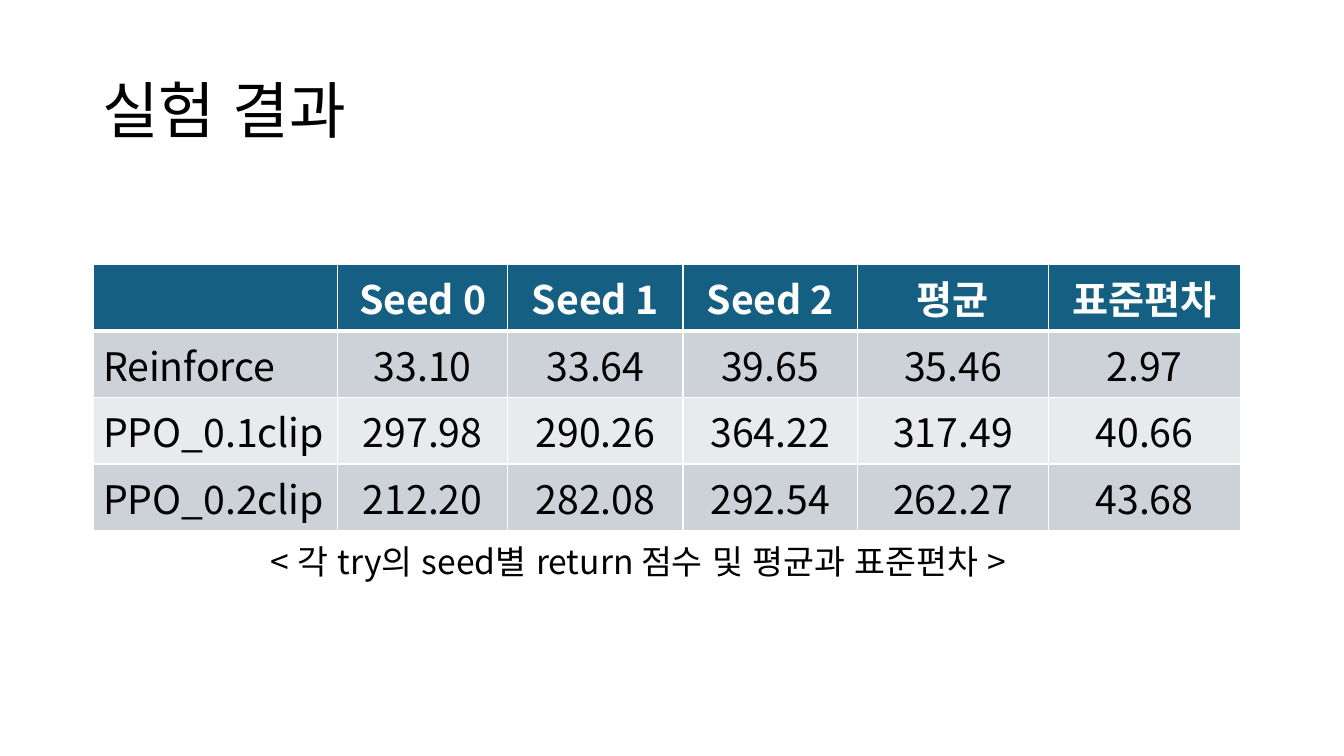
from dataclasses import dataclass

from lxml.etree import SubElement
from pptx import Presentation
from pptx.dml.color import RGBColor
from pptx.enum.lang import MSO_LANGUAGE_ID as Lang
from pptx.enum.text import MSO_ANCHOR as Anchor, PP_ALIGN as Align
from pptx.oxml.ns import qn
from pptx.slide import Slide
from pptx.table import _Cell as Cell
from pptx.text.text import _Paragraph as Paragraph
from pptx.util import Pt

FONT = "Noto Sans CJK KR"
COLORS = {
    "text": "000000",
    "white": "FFFFFF",
    "header": "156082",
    "odd_row": "CCD2D8",
    "even_row": "E8EAED",
}
HEADER = ["", "Seed 0", "Seed 1", "Seed 2", "평균", "표준편차"]
RESULTS = [
    ["Reinforce", "33.10", "33.64", "39.65", "35.46", "2.97"],
    ["PPO_0.1clip", "297.98", "290.26", "364.22", "317.49", "40.66"],
    ["PPO_0.2clip", "212.20", "282.08", "292.54", "262.27", "43.68"],
]
COLUMN_WIDTHS = [174.6, 121.8, 125.2, 124.4, 136.8, 136.8]
ROW_HEIGHT = 47.6
TABLE_LEFT, TABLE_TOP = 66.4, 188.6


@dataclass
class Label:
    text: str
    left: float
    top: float
    width: float
    height: float
    size: float
    anchor: Anchor


LABELS = [
    Label("실험 결과", 66, 28.8, 828, 104.4, 44, Anchor.MIDDLE),
    Label("< 각 try의 seed별 return 점수 및 평균과 표준편차 >",
          186.5, 385.9, 604.8, 42.5, 24, Anchor.TOP),
]


def style_runs(p: Paragraph, size: float, color: str, bold: bool = False) -> None:
    for r in p.runs:
        r.font.size = Pt(size)
        r.font.bold = bold
        r.font.name = FONT
        r.font.language_id = Lang.KOREAN
        r.font.color.rgb = RGBColor.from_string(COLORS[color])
        SubElement(r._r.rPr, qn("a:ea"), typeface=FONT)


def add_label(s: Slide, label: Label) -> None:
    sp = s.shapes.add_textbox(Pt(label.left), Pt(label.top), Pt(label.width), Pt(label.height))
    tf = sp.text_frame
    tf.text = label.text
    tf.word_wrap = True
    tf.vertical_anchor = label.anchor
    p = tf.paragraphs[0]
    p.line_spacing = 0.9
    style_runs(p, label.size, "text")


def add_borders(cell: Cell, top: float, bottom: float) -> None:
    """Draw white borders; this must come before the cell's fill."""
    tc_pr = cell._tc.get_or_add_tcPr()
    for side, width in {"L": 1, "R": 1, "T": top, "B": bottom}.items():
        ln = SubElement(tc_pr, qn(f"a:ln{side}"), w=str(Pt(width)))
        fill = SubElement(ln, qn("a:solidFill"))
        SubElement(fill, qn("a:srgbClr"), val=COLORS["white"])


def fill_cell(cell: Cell, text: str, row: int, column: int) -> None:
    is_header = row == 0
    add_borders(cell, top=3 if row == 1 else 1, bottom=3 if is_header else 1)
    fill = "header" if is_header else "odd_row" if row % 2 else "even_row"
    cell.fill.solid()
    cell.fill.fore_color.rgb = RGBColor.from_string(COLORS[fill])
    cell.text_frame.text = text
    p = cell.text_frame.paragraphs[0]
    p.alignment = Align.CENTER if column else Align.LEFT
    style_runs(p, 28, "white" if is_header else "text", bold=is_header)


def add_results_table(s: Slide) -> None:
    rows = [HEADER, *RESULTS]
    table = s.shapes.add_table(
        len(rows), len(HEADER), Pt(TABLE_LEFT), Pt(TABLE_TOP),
        Pt(sum(COLUMN_WIDTHS)), Pt(ROW_HEIGHT * len(rows)),
    ).table
    for column, width in zip(table.columns, COLUMN_WIDTHS):
        column.width = Pt(width)
    for i, texts in enumerate(rows):
        table.rows[i].height = Pt(ROW_HEIGHT)
        for j, text in enumerate(texts):
            fill_cell(table.cell(i, j), text, i, j)


def main() -> None:
    prs = Presentation()
    prs.slide_width, prs.slide_height = Pt(960), Pt(540)
    s = prs.slides.add_slide(prs.slide_layouts[6])
    for label in LABELS:
        add_label(s, label)
    add_results_table(s)
    prs.save("out.pptx")


if __name__ == "__main__":
    main()
